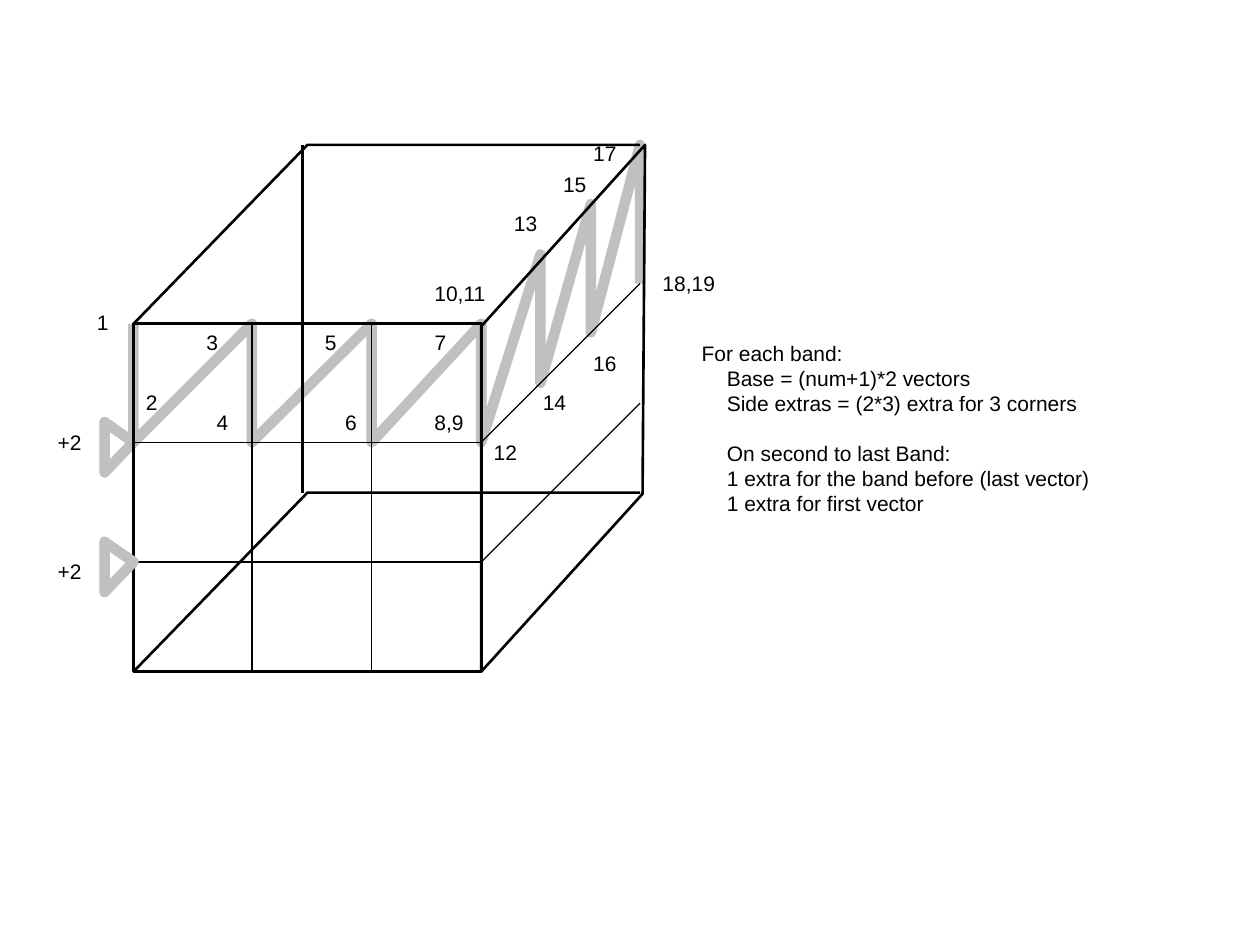
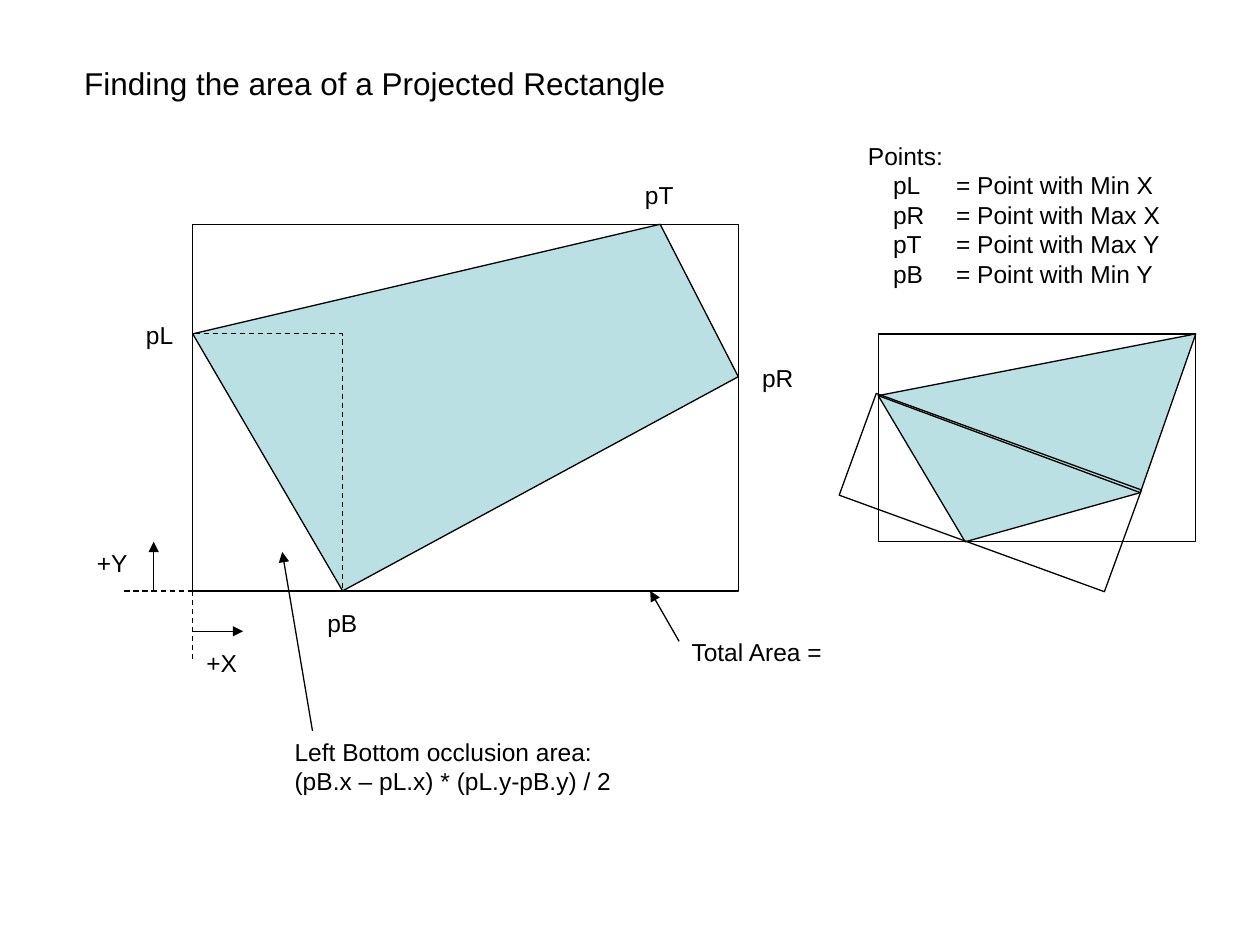
import lxml.etree
import pptx
import pptx.dml.color
import pptx.enum.dml
import pptx.enum.shapes
import pptx.enum.text
import pptx.oxml.ns
import pptx.util

Inches = pptx.util.Inches
Pt = pptx.util.Pt
qn = pptx.oxml.ns.qn

COLORS = {"ink": "000000", "band": "C0C0C0", "projection": "BBE0E3"}
FONT = "Arial"
THIN, EDGE, BAND = 0.75, 1.5, 6
TEXT_SLACK = 0.03  # extra width that keeps each line whole
SPLITS = (0, 0.94, 1.89, 2.76)  # grid lines of the cube's front face
LABEL_WIDTHS = {1: 0.29, 2: 0.38, 3: 0.43, 5: 0.61}  # by number of characters


def rgb(name):
    return pptx.dml.color.RGBColor.from_string(COLORS[name])


def style_line(line, color="ink", width=THIN, dashed=False):
    line.color.rgb = rgb(color)
    line.width = Pt(width)
    if dashed:
        line.dash_style = pptx.enum.dml.MSO_LINE.DASH


def style_shape(shape, fill=None, **line_format):
    shape.shadow.inherit = False
    if fill:
        shape.fill.solid()
        shape.fill.fore_color.rgb = rgb(fill)
    else:
        shape.fill.background()
    style_line(shape.line, **line_format)


def add_text(slide, text, box, size=12, indented=(), tab=None, gaps=None):
    """Write one paragraph per line; gaps maps a line number to space before it."""
    left, top, width, height = box
    frame_box = slide.shapes.add_textbox(
        *map(Inches, (left, top, width + TEXT_SLACK, height)))
    frame = frame_box.text_frame
    frame.word_wrap = False
    frame.auto_size = pptx.enum.text.MSO_AUTO_SIZE.SHAPE_TO_FIT_TEXT
    for number, line in enumerate(text.split("\n")):
        paragraph = frame.add_paragraph() if number else frame.paragraphs[0]
        properties = paragraph._p.get_or_add_pPr()
        if number in indented:
            properties.set("marL", str(Inches(0.2)))
            properties.set("indent", "0")
        if tab:
            stops = lxml.etree.SubElement(properties, qn("a:tabLst"))
            lxml.etree.SubElement(stops, qn("a:tab"), pos=str(Inches(tab)), algn="l")
        if gaps and number in gaps:
            paragraph.space_before = Pt(gaps[number])
        run = paragraph.add_run()
        run.text = line
        run.font.name = FONT
        run.font.size = Pt(size)
        run.font.color.rgb = rgb("ink")


def add_outline(slide, origin, points, closed=False, **style):
    """Draw a freeform through points measured from origin."""
    corners = [(Inches(x), Inches(y)) for x, y in points]
    builder = slide.shapes.build_freeform(*corners[0])
    builder.add_line_segments(corners[1:], close=closed)
    style_shape(builder.convert_to_shape(*map(Inches, origin)), **style)


def add_rectangle(slide, box, rotation=0, **style):
    rectangle = slide.shapes.add_shape(
        pptx.enum.shapes.MSO_SHAPE.RECTANGLE, *map(Inches, box))
    rectangle.rotation = rotation
    style_shape(rectangle, **style)


def add_line(slide, origin, start, end, arrow=False, **line_format):
    left, top = origin
    connector = slide.shapes.add_connector(
        pptx.enum.shapes.MSO_CONNECTOR.STRAIGHT,
        Inches(left + start[0]), Inches(top + start[1]),
        Inches(left + end[0]), Inches(top + end[1]))
    style_line(connector.line, **line_format)
    if arrow:
        lxml.etree.SubElement(connector.line._get_or_add_ln(), qn("a:tailEnd"), type="triangle")
    lxml.etree.SubElement(connector._element.spPr, qn("a:effectLst"))


def add_band_turn(slide, origin, row):
    """Draw the triangle where a band passes to the next, at a row of the front."""
    y = SPLITS[row]
    add_outline(slide, origin, [(0, y), (-0.23, y - 0.16), (-0.23, y + 0.24)],
                closed=True, color="band", width=BAND)


def add_band_zigzags(slide, origin):
    side, band = SPLITS[3], SPLITS[1]
    tops = ((0.47, -0.55), (0.87, -0.95), (1.26, -1.42))
    side_points = [(side, 0), (side, band)]
    for depth, top in tops:
        side_points += [(side + depth, top), (side + depth, band - depth)]
    front_points = [(x, y) for x in SPLITS for y in (0, band)]
    for points in (side_points, front_points):
        add_outline(slide, origin, points, color="band", width=BAND)


def add_cube_edges(slide, origin):
    size = SPLITS[3]
    front = [(0, 0), (0, size), (size, size), (size, 0)]
    side = [(size, 0.02), (4.06, -1.42), (4.04, 1.35), (size, size)]
    for face in (front, side):
        add_outline(slide, origin, face, closed=True, width=EDGE)
    for y in (0, size):
        add_outline(slide, origin, [(0, y), (1.38, y - 1.42), (4.02, y - 1.42)], width=EDGE)
    add_line(slide, origin, (1.34, -1.42), (1.34, 1.34), width=EDGE)
    for split in SPLITS[1:3]:
        add_line(slide, origin, (0, split), (size, split))
        add_line(slide, origin, (size, split), (size + 1.26, split - 1.26))
        add_line(slide, origin, (split, 0), (split, size))


def add_vector_numbers(slide, origin):
    numbers = (
        ("1", -0.39, -0.16), ("2", 0, 0.47), ("3", 0.48, 0), ("4", 0.56, 0.63),
        ("5", 1.42, 0), ("6", 1.58, 0.63), ("7", 2.29, 0), ("8,9", 2.29, 0.63),
        ("10,11", 2.29, -0.39), ("12", 2.76, 0.87), ("13", 2.92, -0.95),
        ("14", 3.15, 0.47), ("15", 3.31, -1.26), ("16", 3.55, 0.16),
        ("17", 3.55, -1.5), ("18,19", 4.1, -0.47),
        ("+2", -0.7, 0.79), ("+2", -0.7, 1.81))
    for number, x, y in numbers:
        add_text(slide, number,
                 (origin[0] + x, origin[1] + y, LABEL_WIDTHS[len(number)], 0.3))


def build_band_slide(slide):
    front_corner = (1.06, 2.57)
    add_band_turn(slide, front_corner, 1)
    add_band_zigzags(slide, front_corner)
    add_cube_edges(slide, front_corner)
    add_vector_numbers(slide, front_corner)
    add_band_turn(slide, front_corner, 2)
    add_text(slide, "For each band:\n"
             "Base = (num+1)*2 vectors\n"
             "Side extras = (2*3) extra for 3 corners\n"
             "On second to last Band:\n"
             "1 extra for the band before (last vector)\n"
             "1 extra for first vector",
             (5.47, 2.65, 3.28, 1.5), indented=range(1, 6), gaps={3: 14})


def add_projection(slide, box):
    """Draw the projected rectangle in its bounds, with its corner points named."""
    left, top, width, height = box
    p_left, p_bottom = (0, 0.87), (1.19, height)
    p_right, p_top = (width, 1.21), (3.71, 0)
    add_rectangle(slide, box)
    add_outline(slide, (left, top), [p_left, p_bottom, p_right, p_top],
                closed=True, fill="projection")
    add_rectangle(slide, (left, top + p_left[1], p_bottom[0], height - p_left[1]), dashed=True)
    for name, x, y, label_width in (
            ("pL", -0.47, 0.71, 0.41), ("pR", 4.42, 1.05, 0.45),
            ("pT", 3.49, -0.4, 0.43), ("pB", 0.97, 3, 0.44)):
        add_text(slide, name, (left + x, top + y, label_width, 0.34), size=14)


def add_axes(slide, origin):
    left, top = origin
    for end in ((0, 0.56), (-0.55, 0)):
        add_line(slide, origin, (0, 0), end, dashed=True)
    add_line(slide, origin, (0, 0.32), (0.4, 0.32), arrow=True)
    add_line(slide, origin, (-0.31, 0), (-0.31, -0.39), arrow=True)
    add_text(slide, "+X", (left + 0.01, top + 0.4, 0.44, 0.34), size=14)
    add_text(slide, "+Y", (left - 0.86, top - 0.39, 0.44, 0.34), size=14)


def add_area_notes(slide, origin):
    left, top = origin
    add_line(slide, origin, (3.86, 0.4), (3.63, 0), arrow=True)
    add_text(slide, "Total Area =", (left + 3.86, top + 0.32, 1.27, 0.34), size=14)
    add_line(slide, origin, (0.95, 1.11), (0.71, -0.31), arrow=True)
    add_text(slide, "Left Bottom occlusion area:\n(pB.x – pL.x) * (pL.y-pB.y) / 2",
             (left + 0.71, top + 1.11, 2.71, 0.57), size=14)


def add_split_projection(slide, box):
    """Draw the skewed case, cut in two by a diagonal and boxed at an angle."""
    left, top, width, height = box
    p_left, p_right = (0, 0.49), (2.08, 1.26)
    add_rectangle(slide, box)
    add_outline(slide, (left, top), [p_left, (0.69, height), p_right, (width, 0)],
                closed=True, fill="projection")
    add_line(slide, (left, top), p_left, p_right)
    add_rectangle(slide, (left - 0.23, top + 0.83, 2.24, 0.86), rotation=20)


def build_area_slide(slide):
    bounds = (1.53, 1.78, 4.33, 2.91)
    bottom_left = (bounds[0], bounds[1] + bounds[3])
    add_text(slide, "Finding the area of a Projected Rectangle",
             (0.57, 0.46, 4.81, 0.4), size=18)
    add_projection(slide, bounds)
    add_axes(slide, bottom_left)
    add_area_notes(slide, bottom_left)
    add_text(slide, "Points:\n"
             "pL\t= Point with Min X\n"
             "pR\t= Point with Max X\n"
             "pT\t= Point with Max Y\n"
             "pB\t= Point with Min Y",
             (6.79, 1.07, 2.5, 1.27), size=14, indented=range(1, 5), tab=0.48)
    add_split_projection(slide, (6.97, 2.65, 2.52, 1.65))


def main():
    presentation = pptx.Presentation()
    presentation.slide_width, presentation.slide_height = Inches(10), Inches(7.5)
    blank = presentation.slide_layouts[6]
    for build in (build_band_slide, build_area_slide):
        build(presentation.slides.add_slide(blank))
    presentation.save("out.pptx")


if __name__ == "__main__":
    main()
